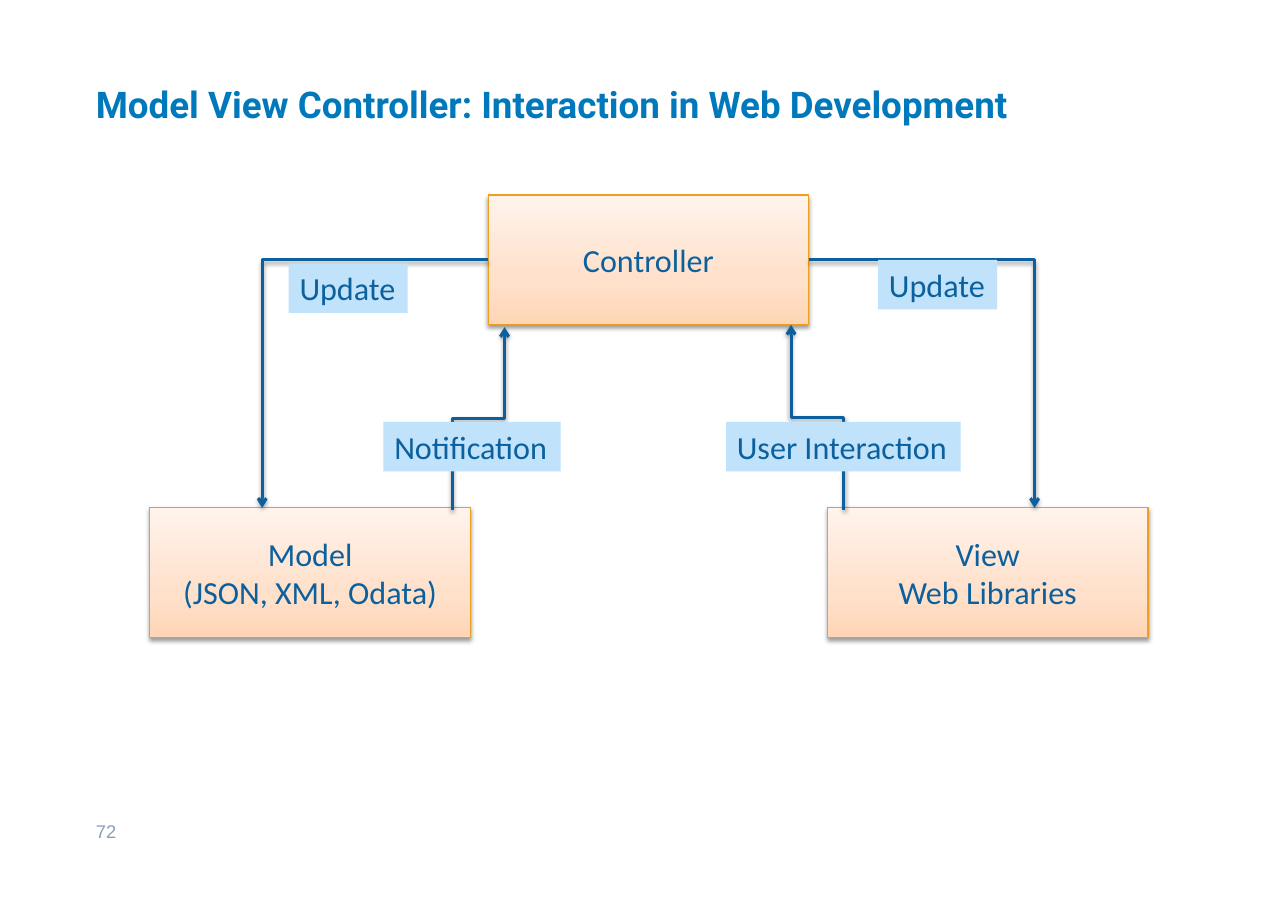
"""Builds a slide on how model, view and controller interact in web development."""
import copy
from dataclasses import dataclass

import pptx
import pptx.dml.color
import pptx.enum.shapes
import pptx.enum.text
import pptx.oxml
import pptx.oxml.ns
import pptx.util

Inches = pptx.util.Inches
Pt = pptx.util.Pt
RGB = pptx.dml.color.RGBColor.from_string
SHAPE = pptx.enum.shapes.MSO_SHAPE
ALIGN = pptx.enum.text.PP_ALIGN
ANCHOR = pptx.enum.text.MSO_ANCHOR
NS = pptx.oxml.ns.nsdecls("a")
SHADOW = (
    f'<a:effectLst {NS}><a:outerShdw blurRad="{Pt(3.1)}" dist="{Pt(1.6)}" dir="5400000" '
    'rotWithShape="0"><a:srgbClr val="000000"><a:alpha val="38000"/></a:srgbClr>'
    "</a:outerShdw></a:effectLst>"
)


@dataclass(frozen=True)
class Theme:
    title: tuple = ("Roboto", 24, "0079BC")
    body: tuple = ("Calibri", 21, "0C609D")
    number: tuple = ("Arial", 12, "8C9DBC")
    box_stops: tuple = ((0, "FFD5B5"), (0.35, "FFE1CB"), (1, "FFF3EB"))
    box_line: str = "EE9E21"
    arrow: str = "0C609D"
    label: str = "C0E2FA"


class Diagram:
    def __init__(self, slide, theme):
        self.s = slide
        self.theme = theme

    def set_text(self, sp, text, style, align=ALIGN.LEFT, anchor=ANCHOR.TOP, wrap=True, bold=False):
        tf = sp.text_frame
        tf.text = text
        tf.word_wrap = wrap
        tf.vertical_anchor = anchor
        for p in tf.paragraphs:
            p.alignment = align
            name, size, color = style
            p.font.name = name
            p.font.size = Pt(size)
            p.font.bold = bold
            p.font.color.rgb = RGB(color)
        return tf

    def pad(self, tf):
        tf.margin_left = tf.margin_right = Inches(0.11)
        tf.margin_top = tf.margin_bottom = Inches(0.06)

    def title(self, text, left, top, width, height):
        sp = self.s.shapes.title
        sp.left, sp.top, sp.width, sp.height = map(Inches, (left, top, width, height))
        self.pad(self.set_text(sp, text, self.theme.title, anchor=ANCHOR.MIDDLE, bold=True))

    def number(self, text, left, top, width, height):
        sp = self.s.shapes.add_textbox(*map(Inches, (left, top, width, height)))
        self.pad(self.set_text(sp, text, self.theme.number))

    def rect(self, left, top, width, height):
        sp = self.s.shapes.add_shape(SHAPE.RECTANGLE, *map(Inches, (left, top, width, height)))
        sp.shadow.inherit = False
        return sp

    def shade(self, sp):
        spPr = sp._element.spPr
        for old in spPr.findall(pptx.oxml.ns.qn("a:effectLst")):
            spPr.remove(old)
        spPr.append(pptx.oxml.parse_xml(SHADOW))

    def box(self, text, left, top, width, height):
        sp = self.rect(left, top, width, height)
        sp.fill.gradient()
        sp.fill.gradient_angle = 90
        stops = sp._element.spPr.find(".//" + pptx.oxml.ns.qn("a:gsLst"))
        stops.append(copy.deepcopy(stops[0]))
        for stop, (position, color) in zip(sp.fill.gradient_stops, self.theme.box_stops):
            stop.position = position
            stop.color.rgb = RGB(color)
        sp.line.color.rgb = RGB(self.theme.box_line)
        sp.line.width = Pt(0.75)
        self.shade(sp)
        self.set_text(sp, text, self.theme.body, ALIGN.CENTER, ANCHOR.MIDDLE)

    def label(self, text, left, top, width, height=0.45):
        sp = self.rect(left, top, width, height)
        sp.fill.solid()
        sp.fill.fore_color.rgb = RGB(self.theme.label)
        sp.line.fill.background()
        self.set_text(sp, text, self.theme.body, wrap=False)

    def elbow(self, x1, y1, x2, y2):
        c = self.s.shapes.add_connector(
            pptx.enum.shapes.MSO_CONNECTOR.ELBOW, *map(Inches, (x1, y1, x2, y2)))
        c.line.color.rgb = RGB(self.theme.arrow)
        c.line.width = Pt(2)
        spPr = c._element.spPr
        ln = spPr.find(pptx.oxml.ns.qn("a:ln"))
        ln.append(pptx.oxml.parse_xml(f'<a:tailEnd {NS} type="arrow"/>'))
        self.shade(c)
        return spPr

    def arrow_down(self, x1, y1, x2, y2):
        spPr = self.elbow(x1, y1, x2, y2)
        spPr.find(pptx.oxml.ns.qn("a:prstGeom")).set("prst", "bentConnector2")

    def arrow_up(self, x1, y1, x2, y2):
        cx, cy = (x1 + x2) / 2, (y1 + y2) / 2
        rise, shift = (y1 - y2) / 2, (x2 - x1) / 2
        spPr = self.elbow(cx - rise, cy - shift, cx + rise, cy + shift)
        spPr.find(pptx.oxml.ns.qn("a:xfrm")).set("rot", str(270 * 60000))


def main():
    prs = pptx.Presentation()
    prs.slide_width, prs.slide_height = Inches(11.69), Inches(8.27)
    d = Diagram(prs.slides.add_slide(prs.slide_layouts[5]), Theme())
    d.title("Model View Controller: Interaction in Web Development", 0.76, 0.33, 10.17, 1.22)
    d.number("72", 0.76, 7.39, 2.55, 0.44)

    width, height = 2.91, 1.18
    left, top, bottom = 4.43, 1.77, 4.61
    right, middle = left + width, top + height / 2
    for text, x, y in (
        ("Controller", left, top),
        ("Model\n(JSON, XML, Odata)", 1.36, bottom),
        ("View\nWeb Libraries", 7.51, bottom),
    ):
        d.box(text, x, y, width, height)

    reach = 2.05
    d.arrow_down(right, middle, right + reach, bottom)
    d.arrow_up(7.66, 4.63, 7.18, 2.95)
    d.arrow_down(left, middle, left - reach, bottom)
    d.arrow_up(4.11, 4.63, 4.58, 2.97)

    for text, x, y, w in (
        ("Update", 7.97, 2.36, 1.08),
        ("User Interaction", 6.59, 3.83, 2.13),
        ("Update", 2.62, 2.39, 1.08),
        ("Notification", 3.48, 3.83, 1.61),
    ):
        d.label(text, x, y, w)
    prs.save("out.pptx")


if __name__ == "__main__":
    main()
